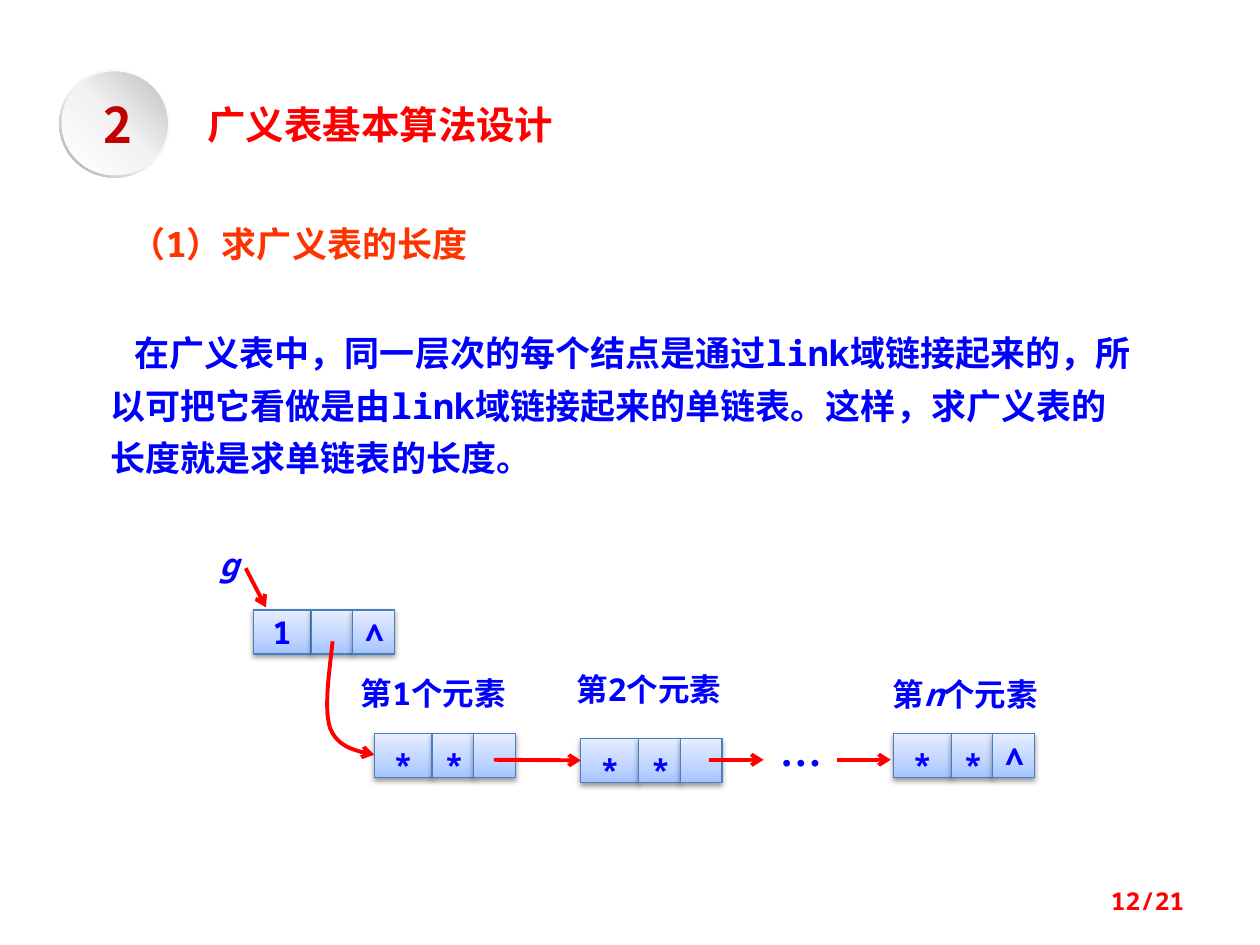
from pptx import Presentation
from pptx.dml.color import RGBColor
from pptx.enum.shapes import MSO_CONNECTOR, MSO_SHAPE
from pptx.enum.text import MSO_ANCHOR, PP_ALIGN
from pptx.oxml import parse_xml
from pptx.oxml.ns import nsdecls, qn
from pptx.util import Inches, Pt
from lxml import etree

LEFT, MID, RIGHT = PP_ALIGN.LEFT, PP_ALIGN.CENTER, PP_ALIGN.RIGHT
CENTER = MSO_ANCHOR.MIDDLE
RECT, OVAL, RING = MSO_SHAPE.RECTANGLE, MSO_SHAPE.OVAL, MSO_SHAPE.DONUT
LINE = MSO_CONNECTOR.STRAIGHT
SANS, MONO, SERIF = "Noto Sans CJK SC", "Noto Sans Mono", "Times New Roman"
BLUE, RED = "0000FF", "FF0000"
rgb = RGBColor.from_string

deck = Presentation()
deck.slide_width, deck.slide_height = Inches(10), Inches(7.5)
slide = deck.slides.add_slide(deck.slide_layouts[6])
shapes = slide.shapes


def write(box, runs, size, hue=BLUE, font=MONO, align=LEFT):
    box.text_frame.word_wrap = True
    para = box.text_frame.paragraphs[0]
    para.alignment = align
    for text, slant in runs:
        run = para.add_run()
        run.text = text
        run.font.size = Pt(size)
        run.font.name = font
        run.font.bold = True
        run.font.italic = slant
        run.font.color.rgb = rgb(hue)
        east = etree.SubElement(run.font._element, qn("a:ea"))
        east.set("typeface", SERIF if font == SERIF else SANS)
    return para


def shade(kind, place, stops, angle):
    shape = shapes.add_shape(kind, *map(Inches, place))
    shape.shadow.inherit = False
    shape.line.fill.background()
    shape.fill.gradient()
    marks = "".join(
        f'<a:gs pos="{pos * 1000}"><a:srgbClr val="{hue}"/></a:gs>'
        for pos, hue in stops)
    grad = parse_xml(
        f'<a:gradFill {nsdecls("a")} rotWithShape="1"><a:gsLst>{marks}</a:gsLst>'
        f'<a:lin ang="{angle * 60000}" scaled="0"/></a:gradFill>')
    props = shape._element.spPr
    props.replace(props.find(qn("a:gradFill")), grad)
    return shape


ring = shade(RING, (0.47, 0.55, 0.88, 0.86),
             [(0, "FFFFFF"), (55, "F2F2F2"), (100, "A6A6A6")], 135)
ring.adjustments[0] = 0.049
shade(OVAL, (0.49, 0.57, 0.84, 0.82),
      [(0, "FFFFFF"), (51, "F2F2F2"), (100, "BFBFBF")], 315)

badge = shapes.add_textbox(Inches(0.71), Inches(0.75), Inches(0.46), Inches(0.47))
frame = badge.text_frame
frame.margin_left = frame.margin_right = frame.margin_top = frame.margin_bottom = 0
write(badge, [("2", False)], 28, "C00002", SANS, MID)

title = shapes.add_textbox(Inches(1.48), Inches(0.75), Inches(3.13), Inches(0.47))
write(title, [(" 广义表基本算法设计", False)], 22, RED, SANS)

topic = shapes.add_textbox(Inches(0.94), Inches(1.72), Inches(3.13), Inches(0.44))
write(topic, [("（1）求广义表的长度", False)], 20, "FF3300")

body = shapes.add_textbox(Inches(0.78), Inches(2.5), Inches(8.36), Inches(1.36))
para = write(body, [(
    "在广义表中，同一层次的每个结点是通过link域链接起来的，"
    "所以可把它看做是由link域链接起来的单链表。"
    "这样，求广义表的长度就是求单链表的长度。", False)], 20)
para.line_spacing = Pt(30)
para._p.get_or_add_pPr().set("indent", str(Inches(0.19)))

labels = [
    (2.66, 5.3, 1.56, [("第1个元素", False)], 18, MONO, MID),
    (4.37, 5.27, 1.56, [("第2个元素", False)], 18, MONO, MID),
    (6.88, 5.31, 1.56, [("第", False), ("n", True), ("个元素", False)], 18, MONO, MID),
    (1.64, 4.28, 0.47, [("g", True)], 18, MONO, LEFT),
    (6.09, 5.7, 0.39, [("…", False)], 24, SERIF, LEFT),
]
for x, y, width, runs, size, font, align in labels:
    label = shapes.add_textbox(Inches(x), Inches(y), Inches(width), Inches(0.4))
    write(label, runs, size, BLUE, font, align)

nodes = [
    (2.01, 4.84, ["1", "", "∧"]),
    (2.97, 5.82, ["*", "*", ""]),
    (7.09, 5.82, ["*", "*", "∧"]),
    (4.61, 5.86, ["*", "*", ""]),
]
heads = []
for left, top, marks in nodes:
    x = left
    for mark, width in zip(marks, (0.46, 0.33, 0.33)):
        cell = shade(RECT, (x, top, width, 0.35),
                     [(0, "A4C4FF"), (35, "BFD4FF"), (100, "E6EEFF")], 270)
        cell.line.color.rgb = rgb("4B7EBC")
        cell.line.width = Pt(0.75)
        glow = cell._element.spPr.find(qn("a:effectLst"))
        glow.append(parse_xml(
            f'<a:outerShdw {nsdecls("a")} blurRad="{Pt(3.1)}" dist="{Pt(1.6)}" '
            'dir="5400000" rotWithShape="0"><a:srgbClr val="000000">'
            '<a:alpha val="38000"/></a:srgbClr></a:outerShdw>'))
        cell.text_frame.vertical_anchor = CENTER
        if mark:
            para = write(cell, [(mark, False)], 18, align=MID)
            if mark == "*":
                para.line_spacing = 1.5
        if x == left:
            heads.append(cell)
        x += width

curves = [
    [(2.64, 5.09), (2.61, 5.36), (2.57, 5.63), (2.62, 5.78)],
    [(2.62, 5.78), (2.68, 5.93), (2.82, 5.96), (2.97, 5.99)],
]
steps = 12
points = []
for curve in curves:
    for step in range(1, steps + 1):
        t = step / steps
        parts = ((1 - t) ** 3, 3 * t * (1 - t) ** 2, 3 * t * t * (1 - t), t ** 3)
        points.append(tuple(
            Inches(sum(part * spot[axis] for part, spot in zip(parts, curve)))
            for axis in (0, 1)))
path = shapes.build_freeform(Inches(2.64), Inches(5.09))
path.add_line_segments(points, close=False)
bend = path.convert_to_shape()
bend.shadow.inherit = False
bend.fill.background()

arrows = [bend]
for ends in [
    (1.95, 4.51, 2.11, 4.82),
    (3.92, 6.03, 4.59, 6.03),
    (5.63, 6.03, 6.06, 6.03),
    (6.64, 6.03, 7.07, 6.03),
]:
    link = shapes.add_connector(LINE, *map(Inches, ends))
    arrows.append(link)
arrows[2].end_connect(heads[3], 1)

for arrow in arrows:
    arrow.line.color.rgb = rgb(RED)
    arrow.line.width = Pt(2.25)
    tail = etree.SubElement(arrow.line._get_or_add_ln(), qn("a:tailEnd"))
    tail.set("type", "arrow")
    if arrow is not bend:
        etree.SubElement(arrow._element.spPr, qn("a:effectLst"))

page = shapes.add_textbox(Inches(7.17), Inches(6.95), Inches(2.33), Inches(0.4))
page.text_frame.vertical_anchor = CENTER
write(page, [("12/21", False)], 14, RED, align=RIGHT)

deck.save("out.pptx")
